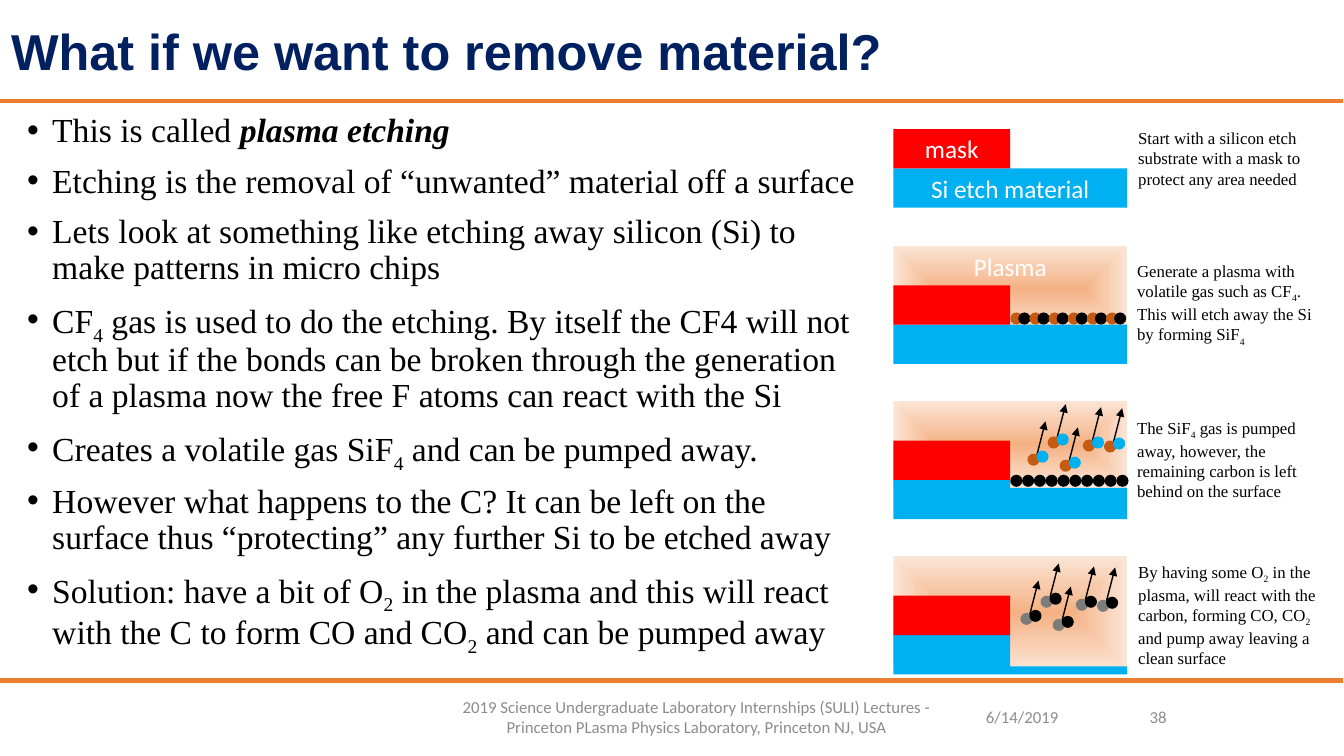
"""Build the plasma etching slide."""
from dataclasses import dataclass
from typing import Any

from lxml.etree import SubElement
from pptx import Presentation
from pptx.dml.color import RGBColor
from pptx.enum.shapes import MSO_CONNECTOR, MSO_SHAPE
from pptx.enum.text import MSO_ANCHOR, PP_ALIGN
from pptx.oxml import parse_xml
from pptx.oxml.ns import nsdecls, qn
from pptx.util import Inches, Pt

Box = tuple[float, float, float, float]
Spot = tuple[float, float]


@dataclass(frozen=True)
class Theme:
    navy: str = "002060"
    rule: str = "ED7D31"
    gray: str = "8C8C8C"
    smoke: str = "7C7C7C"
    black: str = "000000"
    white: str = "FFFFFF"
    mask: str = "FF0000"
    base: str = "00B0F0"
    rust: str = "C55A11"
    glow: tuple[str, ...] = ("F4B183", "F8CBAD", "FBE5D6")
    head: str = "Arial"
    sans: str = "Calibri"
    serif: str = "Times New Roman"
    title: int = 36
    body: int = 24
    label: int = 18
    note: int = 12


@dataclass(frozen=True)
class Style:
    font: str
    size: int
    color: str
    bold: bool = False
    align: Any = PP_ALIGN.LEFT
    anchor: Any = MSO_ANCHOR.MIDDLE


@dataclass(frozen=True)
class Stage:
    top: float
    note: str
    box: Box
    anchor: Any = MSO_ANCHOR.MIDDLE
    glow: float = 0
    depth: float = 0
    words: tuple[str, str, str] = ("", "", "")


@dataclass(frozen=True)
class Flight:
    shift: Spot
    back: str
    front: str


T = Theme()
LEFT, HALF, ROW, DOT = 8.86, 1.16, 0.39, 0.12
MID = LEFT + HALF

TITLE = Style(T.head, T.title, T.navy, True)
BODY = Style(T.serif, T.body, T.black, anchor=MSO_ANCHOR.TOP)
LABEL = Style(T.sans, T.label, T.white, align=PP_ALIGN.CENTER)
PLASMA = Style(T.sans, T.label, T.white, align=PP_ALIGN.CENTER, anchor=MSO_ANCHOR.TOP)

POINTS = [
    "This is called |plasma etching|",
    "Etching is the removal of “unwanted” material off a surface",
    "Lets look at something like etching away silicon (Si) to make patterns in micro chips",
    "CF|4| gas is used to do the etching. By itself the CF4 will not etch but if the bonds can be "
    "broken through the generation of a plasma now the free F atoms can react with the Si",
    "Creates a volatile gas SiF|4| and can be pumped away.",
    "However what happens to the C? It can be left on the surface thus “protecting” any further Si "
    "to be etched away",
    "Solution: have a bit of O|2| in the plasma and this will react with the C to form CO and CO|2| "
    "and can be pumped away",
]
STAGES = [
    Stage(1.28, "Start with a silicon etch substrate with a mask to protect any area needed",
          (11.19, 1.08, 2, 0.98), words=("", "mask", "Si etch material")),
    Stage(2.83, "Generate a plasma with volatile gas such as CF|4|. This will etch away the Si by "
          "forming SiF|4|", (11.18, 2.43, 2, 1.17), glow=0.86, words=("Plasma", "", "")),
    Stage(4.37, "The SiF|4| gas is pumped away, however, the remaining carbon is left behind on the "
          "surface", (11.18, 3.98, 2, 1.16), glow=0.86, depth=0.31),
    Stage(5.91, "By having some O|2| in the plasma, will react with the carbon, forming CO, CO|2| and "
          "pump away leaving a clean surface", (11.19, 5.52, 2, 1.16), MSO_ANCHOR.TOP,
          glow=1.12, depth=0.08),
]
SPOTS: list[Spot] = [(10.19, 4.5), (10.39, 4.33), (10.51, 4.56), (10.74, 4.36), (10.95, 4.37)]
FLIGHTS = [Flight((0, 0), T.rust, T.base), Flight((-0.07, 1.58), T.smoke, T.black)]
FOOT = [
    ((9.68, 6.76, 1, 0.7), "6/14/2019", PP_ALIGN.LEFT),
    ((4.16, 6.76, 5.5, 0.7), "2019 Science Undergraduate Laboratory Internships (SULI) Lectures - "
     "Princeton PLasma Physics Laboratory, Princeton NJ, USA", PP_ALIGN.CENTER),
    ((10.67, 6.76, 1, 0.7), "38", PP_ALIGN.RIGHT),
]


def write(frame: Any, lines: list[str], style: Style, bullet: bool = False) -> None:
    frame.word_wrap = True
    frame.vertical_anchor = style.anchor
    for i, line in enumerate(lines):
        para = frame.add_paragraph() if i else frame.paragraphs[0]
        para.alignment = style.align
        if bullet:
            para.line_spacing = 0.9
            para.space_before = Pt(10 if i else 0)
            props = para._p.get_or_add_pPr()
            props.set("marL", str(Inches(0.25)))
            props.set("indent", str(Inches(-0.25)))
            SubElement(props, qn("a:buFont")).set("typeface", T.head)
            SubElement(props, qn("a:buChar")).set("char", "•")
        for j, part in enumerate(line.split("|")):
            if not part:
                continue
            run = para.add_run()
            run.text = part
            mark = j % 2 == 1
            loud = mark and not part.isdigit()
            form = {"name": style.font, "size": Pt(style.size),
                    "bold": style.bold or loud, "italic": loud}
            for key, value in form.items():
                setattr(run.font, key, value)
            run.font.color.rgb = RGBColor.from_string(style.color)
            if mark and not loud:
                run._r.get_or_add_rPr().set("baseline", "-25000")


def text(slide: Any, box: Box, lines: list[str], style: Style, bullet: bool = False) -> None:
    item = slide.shapes.add_textbox(*map(Inches, box))
    write(item.text_frame, lines, style, bullet)


def block(slide: Any, kind: Any, box: Box, color: str, words: str = "", style: Style = LABEL) -> Any:
    item = slide.shapes.add_shape(kind, *map(Inches, box))
    item.shadow.inherit = False
    item.fill.solid()
    item.fill.fore_color.rgb = RGBColor.from_string(color)
    item.line.fill.background()
    if words:
        write(item.text_frame, [words], style)
    return item


def haze(slide: Any, box: Box, words: str) -> None:
    item = block(slide, MSO_SHAPE.RECTANGLE, box, T.glow[0], words, PLASMA)
    stops = "".join(f'<a:gs pos="{i * 50000}"><a:srgbClr val="{tone}"/></a:gs>'
                    for i, tone in enumerate(T.glow))
    fill = parse_xml(f'<a:gradFill {nsdecls("a")} rotWithShape="1"><a:gsLst>{stops}</a:gsLst>'
                     '<a:path path="shape"><a:fillToRect l="50000" t="50000" r="50000" b="50000"/>'
                     '</a:path></a:gradFill>')
    props = item._element.spPr
    props.replace(props.find(qn("a:solidFill")), fill)


def dot(slide: Any, x: float, y: float, color: str) -> None:
    block(slide, MSO_SHAPE.OVAL, (x, y, DOT, DOT), color)


def line(slide: Any, start: Spot, end: Spot, color: str, width: float, arrow: bool = False) -> None:
    item = slide.shapes.add_connector(MSO_CONNECTOR.STRAIGHT, *map(Inches, start + end))
    item.line.color.rgb = RGBColor.from_string(color)
    item.line.width = Pt(width)
    if arrow:
        SubElement(item.line._get_or_add_ln(), qn("a:tailEnd")).set("type", "triangle")
    SubElement(item._element.spPr, qn("a:effectLst"))


def layer(slide: Any, stage: Stage) -> None:
    glow, mask, base = stage.words
    low = stage.top + ROW
    if stage.glow:
        haze(slide, (LEFT, stage.top - ROW, 2 * HALF, stage.glow), glow)
    wide = HALF if stage.depth else 2 * HALF
    block(slide, MSO_SHAPE.RECTANGLE, (LEFT, low, wide, ROW), T.base, base)
    block(slide, MSO_SHAPE.RECTANGLE, (LEFT, stage.top, HALF, ROW), T.mask, mask)
    if stage.depth:
        spot = (MID, low + ROW - stage.depth, HALF, stage.depth)
        block(slide, MSO_SHAPE.RECTANGLE, spot, T.base)
    style = Style(T.serif, T.note, T.black, anchor=stage.anchor)
    text(slide, stage.box, [stage.note], style)


def fly(slide: Any, flight: Flight) -> None:
    spots = [(x + flight.shift[0], y + flight.shift[1]) for x, y in SPOTS]
    for x, y in spots:
        line(slide, (x + 0.09, y + 0.03), (x + 0.18, y - 0.32), T.black, 1, True)
    for x, y in spots:
        dot(slide, x, y, flight.back)
        dot(slide, x + 0.09, y - 0.03, flight.front)


def main() -> None:
    deck = Presentation()
    deck.slide_width, deck.slide_height = Inches(13.33), Inches(7.5)
    slide = deck.slides.add_slide(deck.slide_layouts[5])
    for y in (1, 6.75):
        line(slide, (-0.01, y), (13.32, y), T.rule, 3)
    title = slide.shapes.title
    place = {"left": 0.01, "top": 0, "width": 13.33, "height": 1}
    for key, value in place.items():
        setattr(title, key, Inches(value))
    write(title.text_frame, ["What if we want to remove material?"], TITLE)
    for box, words, align in FOOT:
        text(slide, box, [words], Style(T.sans, T.note, T.gray, align=align))
    text(slide, (0.17, 1.08, 8.5, 5.6), POINTS, BODY, True)
    for stage in STAGES:
        layer(slide, stage)
    for i in range(6):
        x = MID + 0.19 * i
        dot(slide, x, 3.1, T.rust)
        dot(slide, x + 0.08, 3.1, T.black)
    for i in range(10):
        dot(slide, MID + 0.12 * i - 0.003 * i, 4.71, T.black)
    for flight in FLIGHTS:
        fly(slide, flight)
    deck.save("out.pptx")


if __name__ == "__main__":
    main()
